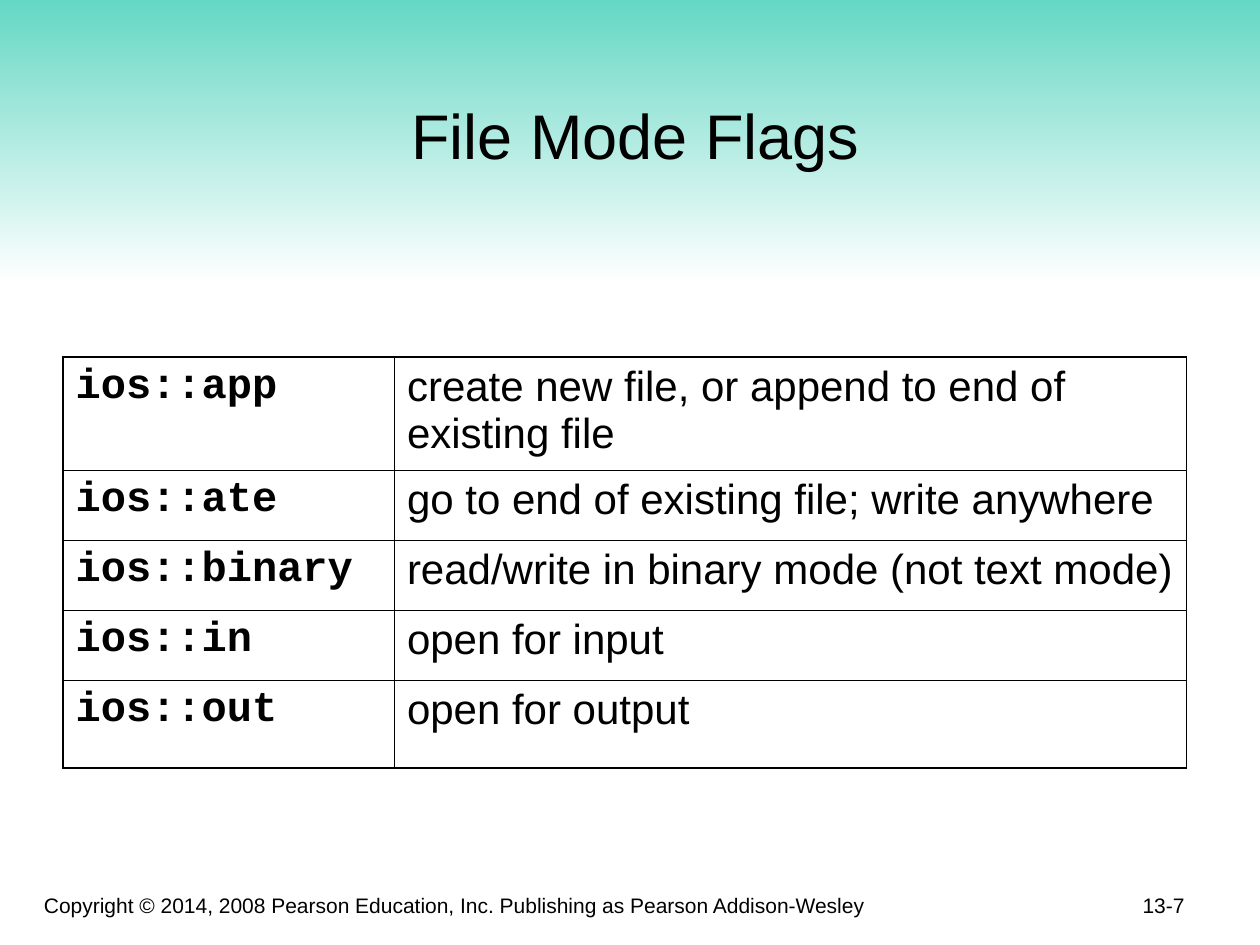
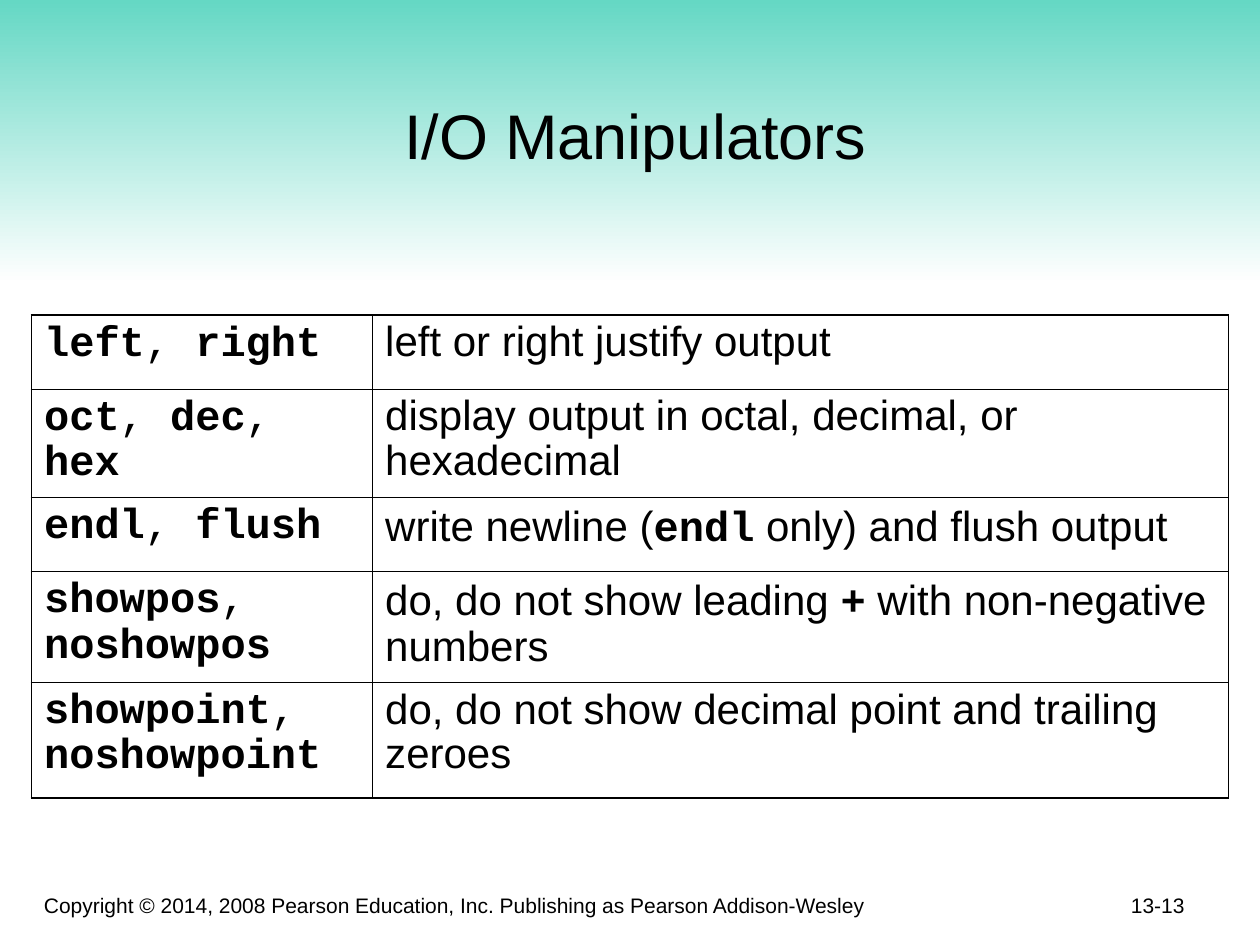
from lxml import etree
from pptx import Presentation
from pptx import util as u
from pptx.dml.color import RGBColor
from pptx.enum import shapes, text
from pptx.oxml.ns import qn

# Shared style; the grid has 120 columns and 90 rows
UNIT = u.Inches(1) / 12
COLUMNS, ROWS = 120, 90
BLACK, WHITE, TEAL = "000000", "FFFFFF", "5FD6C2"
BODY_FONT, CODE_FONT = "Arial", "Courier New"
OUTER_LINE, INNER_LINE = 1.08, 0.45
TITLE_BOX = (4, 4, 113, 13)
BAND_BOX = (0, -1, COLUMNS, 28)
COPYRIGHT_BOX = (3, 83, 81, 5)
NUMBER_BOX = (89, 82, 25, 6)
COPYRIGHT = ("Copyright © 2014, 2008 Pearson Education, Inc. "
             "Publishing as Pearson Addison-Wesley")

# Backticks mark the code words
FILE_MODES = [
    ("`ios::app`", "create new file, or append to end of existing file"),
    ("`ios::ate`", "go to end of existing file; write anywhere"),
    ("`ios::binary`", "read/write in binary mode (not text mode)"),
    ("`ios::in`", "open for input"),
    ("`ios::out`", "open for output"),
]
MANIPULATORS = [
    ("`left`, `right`", "left or right justify output"),
    ("`oct`, `dec`, `hex`", "display output in octal, decimal, or hexadecimal"),
    ("`endl`, `flush`", "write newline (`endl` only) and flush output"),
    ("`showpos`, `noshowpos`",
     "do, do not show leading `+` with non-negative numbers"),
    ("`showpoint`, `noshowpoint`",
     "do, do not show decimal point and trailing zeroes"),
]


def color(hex_string):
    return RGBColor.from_string(hex_string)


def grid(*lengths):
    return [u.Emu(round(length * UNIT)) for length in lengths]


def style(paragraph, size, align=None, font=None):
    paragraph.alignment = align
    paragraph.font.size = u.Pt(size)
    paragraph.font.color.rgb = color(BLACK)
    if font:
        paragraph.font.name = font


def add_label(slide, box, words, align):
    label = slide.shapes.add_textbox(*grid(*box))
    frame = label.text_frame
    frame.word_wrap = True
    frame.vertical_anchor = text.MSO_ANCHOR.BOTTOM
    frame.text = words
    style(frame.paragraphs[0], 12, align, BODY_FONT)
    return label


def add_band(slide):
    band = slide.shapes.add_shape(shapes.MSO_SHAPE.RECTANGLE, *grid(*BAND_BOX))
    band.shadow.inherit = False
    band.line.fill.background()
    band.fill.gradient()
    band.fill.gradient_angle = 270
    for stop, shade in zip(band.fill.gradient_stops, (TEAL, WHITE)):
        stop.color.rgb = color(shade)
    return band


def share_on_layout(slide):
    """Build the band and copyright line once, for every slide of the layout."""
    layout_tree = slide.slide_layout.shapes._spTree
    copyright_line = add_label(slide, COPYRIGHT_BOX, COPYRIGHT, text.PP_ALIGN.LEFT)
    for part in (add_band(slide), copyright_line):
        layout_tree.append(part._element)


def set_title(slide, words):
    title = slide.shapes.title
    title.left, title.top, title.width, title.height = grid(*TITLE_BOX)
    frame = title.text_frame
    frame.text = words
    frame.auto_size = text.MSO_AUTO_SIZE.NONE
    frame.vertical_anchor = text.MSO_ANCHOR.BOTTOM
    style(frame.paragraphs[0], 36, text.PP_ALIGN.CENTER, BODY_FONT)


def set_borders(cell, outer_sides):
    properties = cell._tc.get_or_add_tcPr()
    for side in "LRTB":
        width = OUTER_LINE if side in outer_sides else INNER_LINE
        line = etree.SubElement(properties, qn(f"a:ln{side}"), w=str(u.Pt(width)))
        fill = etree.SubElement(line, qn("a:solidFill"))
        etree.SubElement(fill, qn("a:srgbClr"), val=BLACK)


def fill_cell(cell, words, plain_font, line_spacing):
    paragraph = cell.text_frame.paragraphs[0]
    paragraph.line_spacing = line_spacing
    style(paragraph, 24)
    for index, piece in enumerate(words.split("`")):
        if piece:
            is_code = index % 2 == 1
            run = paragraph.add_run()
            run.text = piece
            run.font.name = CODE_FONT if is_code else plain_font
            run.font.bold = is_code


def add_glossary(slide, entries, left, top, width, term_share, heights,
                 line_spacing=None):
    table = slide.shapes.add_table(
        len(entries), 2, *grid(left, top, width, sum(heights))).table
    table.first_row = table.horz_banding = False
    table.columns[0].width, table.columns[1].width = grid(
        width * term_share, width * (1 - term_share))
    last = len(entries) - 1
    for r, (entry, height) in enumerate(zip(entries, grid(*heights))):
        table.rows[r].height = height
        row_sides = ("T" if r == 0 else "") + ("B" if r == last else "")
        for c, (side, font) in enumerate((("L", CODE_FONT), ("R", BODY_FONT))):
            cell = table.cell(r, c)
            set_borders(cell, row_sides + side)
            cell.fill.background()
            fill_cell(cell, entry[c], font, line_spacing)


def add_page(deck, title, number):
    slide = deck.slides.add_slide(deck.slide_layouts[5])
    set_title(slide, title)
    add_label(slide, NUMBER_BOX, number, text.PP_ALIGN.RIGHT)
    return slide


def main():
    deck = Presentation()
    deck.slide_width, deck.slide_height = grid(COLUMNS, ROWS)

    # File mode flags
    flags = add_page(deck, "File Mode Flags", "13-7")
    share_on_layout(flags)
    add_glossary(flags, FILE_MODES, 6, 34, 107, 0.295,
                 [10.75, 6.67, 6.67, 6.67, 8.33])

    # Manipulators
    manipulators = add_page(deck, "I/O Manipulators", "13-13")
    add_glossary(manipulators, MANIPULATORS, 3, 30, 114, 0.285,
                 [7.05, 10.3, 7.05, 10.55, 11.05], line_spacing=0.95)

    deck.save("out.pptx")


if __name__ == "__main__":
    main()
